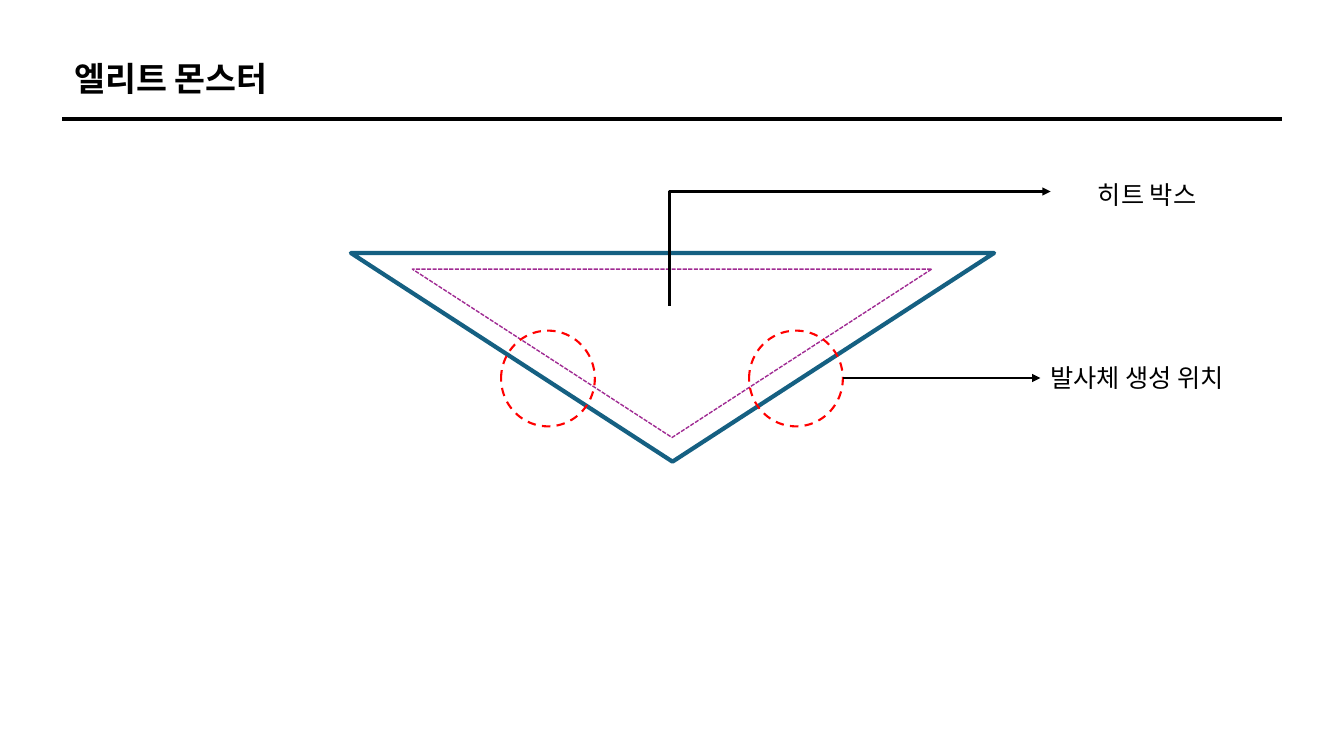
from dataclasses import dataclass

from pptx import Presentation
from pptx.dml.color import RGBColor as Rgb
from pptx.enum.dml import MSO_LINE_DASH_STYLE as Dash
from pptx.enum.shapes import MSO_CONNECTOR as Conn, MSO_SHAPE as Kind
from pptx.oxml.ns import qn
from pptx.util import Inches, Pt
from lxml.etree import SubElement as Sub


@dataclass(frozen=True)
class Theme:
    """Colours, font and type sizes of the slide."""
    ink: str = "000000"
    paper: str = "FFFFFF"
    body: str = "156082"
    hit: str = "A02B93"
    shot: str = "FF0000"
    font: str = "Noto Sans CJK KR"
    title: int = 24
    label: int = 18


THEME = Theme()


def stroke(item, color, width, dash=None, arrow=None):
    """Style a line, with an arrowhead at headEnd or tailEnd if named."""
    item.line.color.rgb = Rgb.from_string(color)
    item.line.width = Pt(width)
    if dash:
        item.line.dash_style = dash
    if arrow:
        Sub(item.line._get_or_add_ln(), qn("a:" + arrow), type="triangle")


def add_text(slide, text, left, top, width, height, size=THEME.label, bold=False):
    """Add a text box with one line of text."""
    box = slide.shapes.add_textbox(*map(Inches, (left, top, width, height)))
    box.text_frame.word_wrap = True
    run = box.text_frame.paragraphs[0].add_run()
    run.text = text
    font = run.font
    font.size, font.bold, font.name = Pt(size), bold, THEME.font
    font.color.rgb = Rgb.from_string(THEME.ink)
    Sub(run._r.get_or_add_rPr(), qn("a:ea"), typeface=THEME.font)
    return box


def add_form(slide, kind, place, color, width, dash=None, fill=None, turn=0):
    """Add an outlined preset shape."""
    form = slide.shapes.add_shape(kind, *map(Inches, place))
    form.shadow.inherit = False
    form.rotation = turn
    if fill:
        form.fill.solid()
        form.fill.fore_color.rgb = Rgb.from_string(fill)
    else:
        form.fill.background()
    stroke(form, color, width, dash)


def add_line(slide, start, end, width, arrow=None):
    """Add a straight line."""
    line = slide.shapes.add_connector(Conn.STRAIGHT, *map(Inches, start + end))
    stroke(line, THEME.ink, width, arrow=arrow)
    Sub(line._element.spPr, qn("a:effectLst"))
    return line


def add_bend(slide, points, width):
    """Add an open bent line with an arrowhead at its first point."""
    first, *rest = [tuple(map(Inches, point)) for point in points]
    path = slide.shapes.build_freeform(*first)
    path.add_line_segments(rest, close=False)
    bend = path.convert_to_shape()
    bend.shadow.inherit = False
    bend.fill.background()
    stroke(bend, THEME.ink, width, arrow="headEnd")


def main():
    """Build the slide and save it."""
    deck = Presentation()
    deck.slide_width, deck.slide_height = Inches(13.33), Inches(7.5)
    slide = deck.slides.add_slide(deck.slide_layouts[6])

    add_text(slide, "엘리트 몬스터", 0.64, 0.53, 6.31, 0.5, size=THEME.title, bold=True)
    add_line(slide, (0.62, 1.18), (12.72, 1.18), 2.75)

    add_form(slide, Kind.ISOSCELES_TRIANGLE, (3.48, 2.51, 6.38, 2.07),
             THEME.body, 3, fill=THEME.paper, turn=180)
    add_form(slide, Kind.ISOSCELES_TRIANGLE, (4.09, 2.67, 5.15, 1.67),
             THEME.hit, 1, dash=Dash.SQUARE_DOT, turn=180)
    for left in (4.97, 7.43):
        add_form(slide, Kind.OVAL, (left, 3.28, 0.93, 0.95), THEME.shot, 1.5, dash=Dash.DASH)

    add_text(slide, "히트 박스", 10.79, 1.73, 2.35, 0.4)
    add_bend(slide, [(10.42, 1.9), (6.64, 1.9), (6.64, 3.04)], 1.5)
    label = add_text(slide, "발사체 생성 위치", 10.32, 3.55, 2.35, 0.4)
    arrow = add_line(slide, (8.36, 3.75), (10.32, 3.75), 1.5, arrow="tailEnd")
    arrow.end_connect(label, 1)

    deck.save("out.pptx")


if __name__ == "__main__":
    main()
